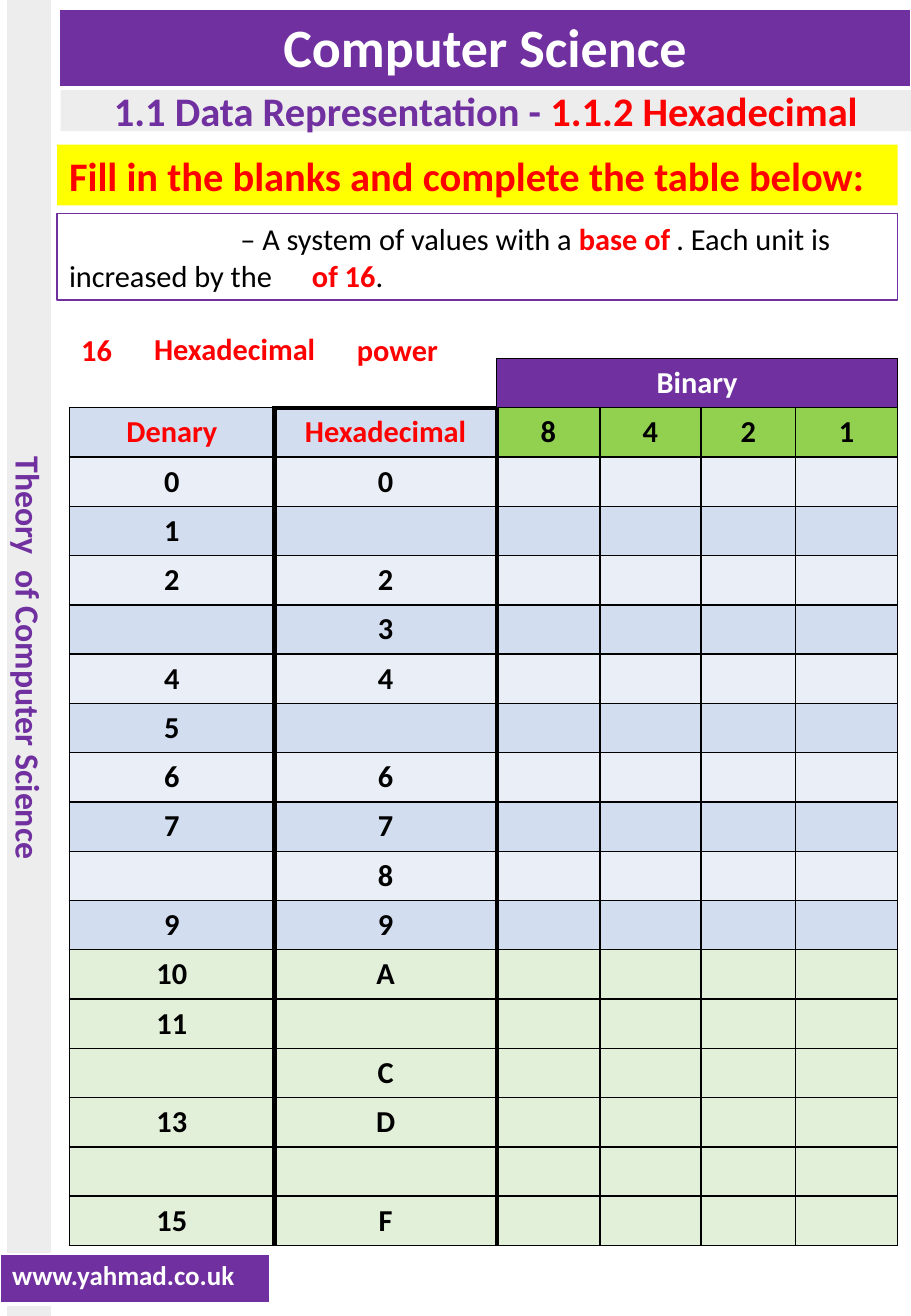
from dataclasses import dataclass
from lxml.etree import SubElement
from pptx import Presentation
from pptx.dml.color import RGBColor
from pptx.enum.shapes import MSO_SHAPE
from pptx.enum.text import MSO_ANCHOR, PP_ALIGN
from pptx.oxml.ns import qn
from pptx.util import Inches, Pt


@dataclass
class Theme:
    font: str = "Calibri"
    purple: str = "7030A0"
    red: str = "FF0000"
    black: str = "000000"
    white: str = "FFFFFF"
    grey: str = "EDEDED"
    yellow: str = "FFFF00"
    lime: str = "92D050"
    blue: str = "D2DEEF"
    pale: str = "EAEFF7"
    green: str = "E2F0D9"
    title: int = 32
    head: int = 24
    side: int = 20
    body: int = 18
    foot: int = 16


theme = Theme()


def write(frame, text, size=theme.body, color=theme.black, bold=True, align=PP_ALIGN.CENTER):
    """Add a run to the first paragraph of a text frame."""
    para = frame.paragraphs[0]
    para.alignment = align
    run = para.add_run()
    run.text = text
    font = run.font
    font.name, font.size, font.bold = theme.font, Pt(size), bold
    font.color.rgb = RGBColor.from_string(color)


def edge(cell, color, left=1, right=1, top=1, bottom=1):
    """Draw cell borders in points; a width of 0 hides that side."""
    props = cell._tc.get_or_add_tcPr()
    for side, width in zip("LRTB", (left, right, top, bottom)):
        line = SubElement(props, qn(f"a:ln{side}"), w=str(Pt(width)))
        if width:
            fill = SubElement(line, qn("a:solidFill"))
            SubElement(fill, qn("a:srgbClr"), val=color)
        else:
            SubElement(line, qn("a:noFill"))


deck = Presentation()
deck.slide_width, deck.slide_height = Inches(7.5), Inches(10.83)
slide = deck.slides.add_slide(deck.slide_layouts[6])
shapes = slide.shapes

# Filled panels
panels = []
for left, top, width, height, color in (
    (0.06, 0, 0.36, 10.83, theme.grey),
    (0.5, 0.74, 7, 0.34, theme.grey),
    (0.47, 1.19, 6.92, 0.5, theme.yellow),
    (0.47, 1.76, 6.92, 0.71, theme.white),
):
    panel = shapes.add_shape(
        MSO_SHAPE.RECTANGLE, Inches(left), Inches(top), Inches(width), Inches(height))
    panel.shadow.inherit = False
    panel.fill.solid()
    panel.fill.fore_color.rgb = RGBColor.from_string(color)
    panel.line.fill.background()
    panels.append(panel)
rail, topic, task, rule = panels

rail.text_frame._txBody.bodyPr.set("vert", "vert")
write(rail.text_frame, "Theory  of Computer Science", size=theme.side, color=theme.purple)
write(topic.text_frame, "1.1 Data Representation - ", size=theme.head, color=theme.purple)
write(topic.text_frame, "1.1.2 Hexadecimal", size=theme.head, color=theme.red)
write(task.text_frame, "Fill in the blanks and complete the table below:",
      size=theme.head, color=theme.red, align=PP_ALIGN.LEFT)

# Sentence with gaps: first-line indent and two tab stops
rule.line.color.rgb = RGBColor.from_string(theme.purple)
rule.line.width = Pt(0.75)
props = rule.text_frame.paragraphs[0]._p.get_or_add_pPr()
props.set("marL", "0")
props.set("indent", str(Inches(1.41)))
tabs = SubElement(props, qn("a:tabLst"))
for stop in (2.52, 5.23):
    SubElement(tabs, qn("a:tab"), pos=str(Inches(stop)), algn="l")
for text, key in (
    ("– A system of values with a ", False),
    ("base of", True),
    ("\t. Each unit is increased by the\t", False),
    ("of 16", True),
    (".", False),
):
    write(rule.text_frame, text, color=theme.red if key else theme.black,
          bold=key, align=PP_ALIGN.LEFT)

# Title and footer bands
for text, left, top, width, height, size, align in (
    ("Computer Science", 0.49, 0.08, 7.01, 0.63, theme.title, PP_ALIGN.CENTER),
    ("www.yahmad.co.uk", 0, 10.32, 2.22, 0.41, theme.foot, PP_ALIGN.LEFT),
):
    band = shapes.add_table(
        1, 1, Inches(left), Inches(top), Inches(width), Inches(height)).table
    cell = band.cell(0, 0)
    edge(cell, theme.white, bottom=3)
    cell.fill.solid()
    cell.fill.fore_color.rgb = RGBColor.from_string(theme.purple)
    write(cell.text_frame, text, size=size, color=theme.white, align=align)

# Number table
denary = ["0", "1", "2", "", "4", "5", "6", "7", "", "9", "10", "11", "", "13", "", "15"]
hexes = ["0", "", "2", "3", "4", "", "6", "7", "8", "9", "A", "", "C", "D", "", "F"]
rows = [["", "", "Binary", "", "", ""], ["Denary", "Hexadecimal", "8", "4", "2", "1"]]
rows += [[den, hexa, "", "", "", ""] for den, hexa in zip(denary, hexes)]
widths = (1.69, 1.83, 0.85, 0.83, 0.78, 0.84)
grid = shapes.add_table(
    len(rows), len(widths), Inches(0.57), Inches(2.95), Inches(6.82), Inches(7.29)).table
grid.first_row = grid.horz_banding = False
for col, width in zip(grid.columns, widths):
    col.width = Inches(width)
grid.cell(0, 2).merge(grid.cell(0, 5))

for r, row in enumerate(rows):
    for c, text in enumerate(row):
        cell = grid.cell(r, c)
        ink = theme.black
        if r == 0 and c < 2:
            edge(cell, theme.black, left=0, right=c, top=0, bottom=3 if c else 1)
            cell.fill.background()
            continue
        edge(cell, theme.black,
             left=3 if r and c in (1, 2) else 1,
             right=3 if r and c < 2 else 1,
             top=3 if (r, c) == (1, 1) else 1)
        if r == 0:
            fill, ink = theme.purple, theme.white
        elif r == 1:
            fill, ink = (theme.blue, theme.red) if c < 2 else (theme.lime, theme.black)
        elif r > 11:
            fill = theme.green
        else:
            fill = theme.blue if r % 2 else theme.pale
        cell.fill.solid()
        cell.fill.fore_color.rgb = RGBColor.from_string(fill)
        if text:
            write(cell.text_frame, text, color=ink)

# Words to place in the gaps
for text, left, top, width in (
    ("Hexadecimal", 1.17, 2.67, 1.54),
    ("16", 0.57, 2.68, 0.46),
    ("power", 2.84, 2.68, 0.87),
):
    word = shapes.add_textbox(Inches(left), Inches(top), Inches(width), Inches(0.4)).text_frame
    word.word_wrap = False
    word.vertical_anchor = MSO_ANCHOR.TOP
    write(word, text, color=theme.red, align=PP_ALIGN.LEFT)

deck.save("out.pptx")
